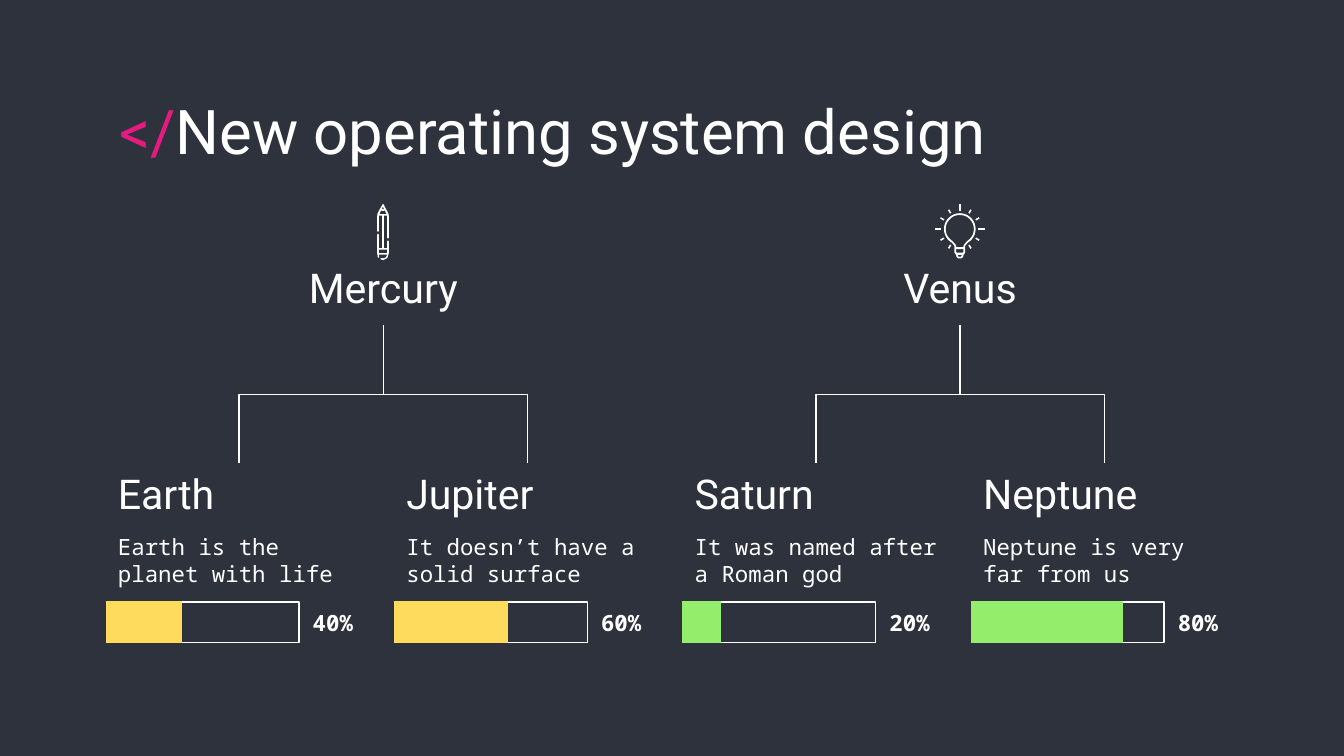
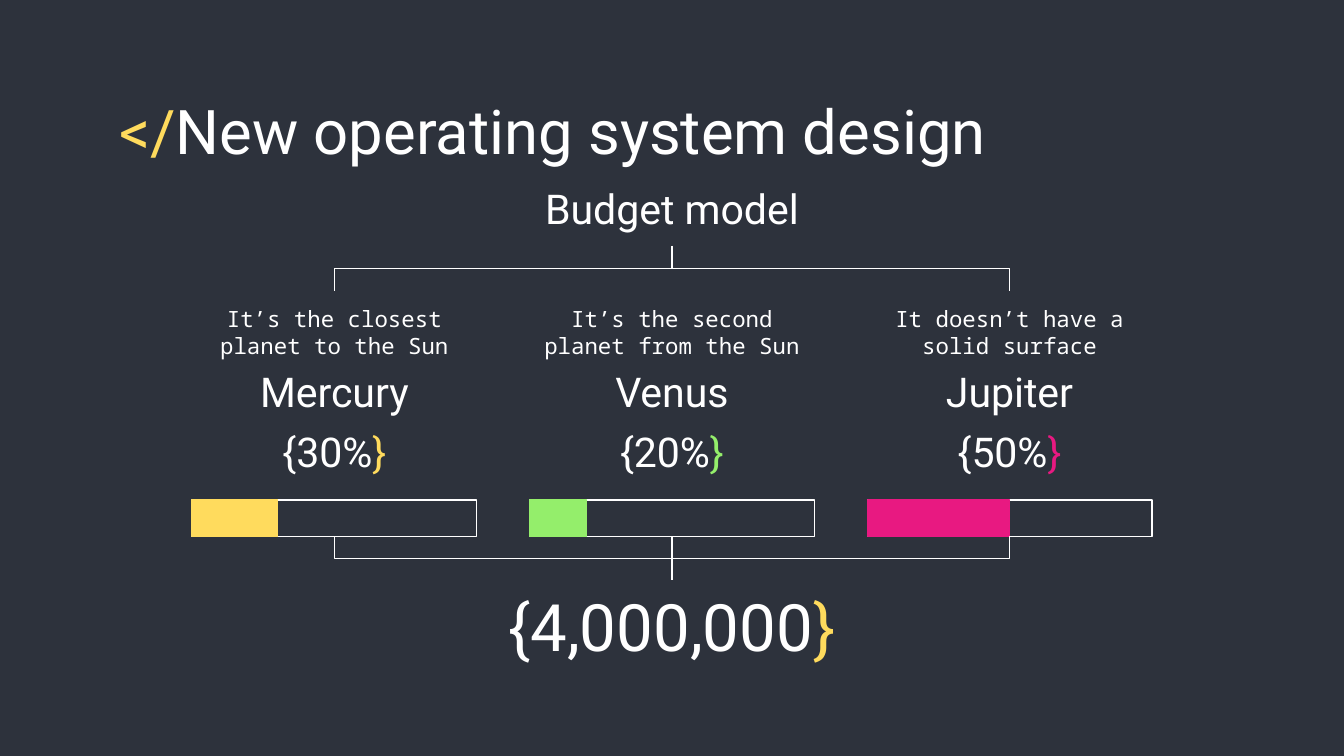
from dataclasses import dataclass
from math import cos, radians, sin

from lxml.etree import SubElement
from pptx import Presentation
from pptx.dml.color import RGBColor
from pptx.enum.shapes import MSO_CONNECTOR, MSO_SHAPE
from pptx.enum.text import MSO_ANCHOR, MSO_AUTO_SIZE, PP_ALIGN
from pptx.oxml.ns import qn
from pptx.util import Cm, Pt


@dataclass(frozen=True)
class Theme:
    """Colours, fonts and type sizes of the deck."""

    night: RGBColor = RGBColor.from_string("2D323C")
    white: RGBColor = RGBColor.from_string("FFFFFF")
    pink: RGBColor = RGBColor.from_string("E81981")
    yellow: RGBColor = RGBColor.from_string("FFDB5D")
    green: RGBColor = RGBColor.from_string("94EE6B")
    sans: str = "Roboto"
    mono: str = "Noto Sans Mono"
    title: Pt = Pt(33)
    total: Pt = Pt(35)
    heading: Pt = Pt(22)
    small: Pt = Pt(12)
    line: Pt = Pt(0.75)


THEME = Theme()
HEADING = {"name": THEME.sans, "size": THEME.heading}
SMALL = {"name": THEME.mono, "size": THEME.small}
PERCENT = {**SMALL, "bold": True}
TITLE = {"name": THEME.sans, "size": THEME.title}
TOTAL = {"name": THEME.sans, "size": THEME.total}
TOP, MIDDLE, BOTTOM = MSO_ANCHOR.TOP, MSO_ANCHOR.MIDDLE, MSO_ANCHOR.BOTTOM
LEFT, CENTER = PP_ALIGN.LEFT, PP_ALIGN.CENTER
MILLI_INCH = Cm(2.54) / 1000

TREES = [
    ("Mercury", THEME.yellow, [
        ("Earth", "Earth is the planet with life", 40),
        ("Jupiter", "It doesn’t have a solid surface", 60),
    ]),
    ("Venus", THEME.green, [
        ("Saturn", "It was named after a Roman god", 20),
        ("Neptune", "Neptune is very far from us", 80),
    ]),
]
BUDGET = [
    ("Mercury", "It’s the closest planet to the Sun", 30, THEME.yellow),
    ("Venus", "It’s the second planet from the Sun", 20, THEME.green),
    ("Jupiter", "It doesn’t have a solid surface", 50, THEME.pink),
]
PENCIL = [
    [(43, 0), (20, 40), (2, 75), (0, 90), (0, 205), (6, 210), (12, 205),
     (12, 90), (37, 90), (37, 330), (12, 330), (12, 230), (6, 223), (0, 230),
     (0, 370), (5, 400), (10, 403), (15, 395), (12, 380), (74, 380),
     (65, 400), (43, 407), (30, 404), (24, 410), (30, 416), (43, 420),
     (75, 405), (86, 370), (86, 280), (80, 273), (74, 280), (74, 330),
     (49, 330), (49, 90), (74, 90), (74, 255), (80, 260), (86, 255),
     (86, 90), (84, 75), (50, 10)],
    [(43, 20), (50, 40), (43, 43), (36, 40)],
    [(57, 50), (70, 78), (16, 78), (29, 50), (43, 55)],
    [(74, 342), (74, 368), (12, 368), (12, 342)],
]


def set_values(target, values):
    """Set each attribute of the target from a dict."""
    for name, value in values.items():
        setattr(target, name, value)


def write_text(box, spans, font, anchor, align):
    """Write coloured spans into one paragraph of a box."""
    inset = Cm(0.25)
    frame = box.text_frame
    set_values(frame, {
        "word_wrap": True, "auto_size": MSO_AUTO_SIZE.NONE,
        "vertical_anchor": anchor, "margin_left": inset,
        "margin_right": inset, "margin_top": inset, "margin_bottom": inset,
    })
    para = frame.paragraphs[0]
    para.alignment = align
    for text, colour in spans:
        span = para.add_run()
        span.text = text
        set_values(span.font, font)
        span.font.color.rgb = colour


def add_title(slide, accent):
    """Fill the title placeholder with its accented opening tag."""
    title = slide.shapes.title
    set_values(title, {"left": Cm(2), "top": Cm(1.5),
                       "width": Cm(21.4), "height": Cm(1.6)})
    spans = [("</", accent), ("New operating system design", THEME.white)]
    write_text(title, spans, TITLE, TOP, LEFT)


def add_text(slide, place, text, font, anchor=TOP, align=LEFT, brace=None):
    """Add a text box, closed by a coloured brace if one is given."""
    box = slide.shapes.add_textbox(*map(Cm, place))
    spans = [(text, THEME.white)]
    if brace is not None:
        spans.append(("}", brace))
    write_text(box, spans, font, anchor, align)


def add_centered(slide, center, top, width, height, text, font, **options):
    """Add a centred text box around a vertical axis."""
    place = (center - width / 2, top, width, height)
    add_text(slide, place, text, font, align=CENTER, **options)


def add_bar(slide, left, top, width, height, colour, filled=False):
    """Add a thin-lined rectangle, filled or open."""
    bar = slide.shapes.add_shape(
        MSO_SHAPE.RECTANGLE, *map(Cm, (left, top, width, height)))
    bar.shadow.inherit = False
    if filled:
        bar.fill.solid()
        bar.fill.fore_color.rgb = colour
    else:
        bar.fill.background()
    bar.line.color.rgb = colour
    bar.line.width = THEME.line


def add_gauge(slide, left, top, width, height, filled, colour):
    """Add an open bar with a coloured part at its left."""
    add_bar(slide, left, top, width, height, THEME.white)
    add_bar(slide, left, top, filled, height, colour, filled=True)


def add_branch(slide, upper, lower):
    """Join two points, going down, across and down again."""
    (x1, y1), (x2, y2) = upper, lower
    kind, ends, turn = MSO_CONNECTOR.STRAIGHT, (x1, y1, x2, y2), None
    if x1 != x2:
        middle_x, middle_y = (x1 + x2) / 2, (y1 + y2) / 2
        half_x, half_y = abs(x2 - x1) / 2, (y2 - y1) / 2
        side = 1 if x2 > x1 else -1
        kind = MSO_CONNECTOR.ELBOW
        ends = (middle_x + side * half_y, middle_y - half_x,
                middle_x - side * half_y, middle_y + half_x)
        turn = 270 if side > 0 else 90
    branch = slide.shapes.add_connector(kind, *map(Cm, ends))
    branch.line.color.rgb = THEME.white
    branch.line.width = THEME.line
    properties = branch._element.spPr
    SubElement(properties, qn("a:effectLst"))
    if turn:
        properties.find(qn("a:xfrm")).set("rot", str(turn * 60000))


def add_outline(shapes, left, top, contours):
    """Add a white freeform whose later contours are holes."""
    builder = shapes.build_freeform(*contours[0][0], scale=MILLI_INCH)
    builder.add_line_segments(contours[0][1:])
    for contour in contours[1:]:
        builder.move_to(*contour[0])
        builder.add_line_segments(contour[1:])
    outline = builder.convert_to_shape(Cm(left), Cm(top))
    outline.shadow.inherit = False
    outline.fill.solid()
    outline.fill.fore_color.rgb = THEME.white
    outline.line.fill.background()


def mirror(half):
    """Close a right half with its reflection."""
    return half + [(-x, y) for x, y in reversed(half)]


def arc(radius):
    """Give the right side of a bulb's glass, from the top to the neck."""
    return [(radius * cos(radians(angle)), radius * sin(radians(angle)))
            for angle in range(-90, 61, 10)]


def ray(angle):
    """Give one thin ray of light at an angle."""
    end = 188 if angle % 90 == 0 else 166
    across, along = sin(radians(angle)), cos(radians(angle))
    corners = [(136, -6), (end, -6), (end, 6), (136, 6)]
    return [(x * along - y * across, x * across + y * along)
            for x, y in corners]


def add_bulb(slide, center, middle):
    """Draw a light bulb with rays around its glass."""
    group = slide.shapes.add_group_shape()
    glass = [
        mirror(arc(118) + [(40, 125), (40, 175), (27, 195), (25, 208), (12, 218)]),
        mirror(arc(105) + [(28, 120), (27, 135)]),
        mirror([(27, 149), (27, 170), (22, 176)]),
        mirror([(14, 193), (14, 201), (9, 206)]),
    ]
    add_outline(group.shapes, center, middle, glass)
    for angle in range(0, 360, 30):
        if angle != 90:
            add_outline(group.shapes, center, middle, [ray(angle)])


def build_trees(slide):
    """Build the two trees with a gauge under each leaf."""
    add_title(slide, THEME.pink)
    first, step, width = 1.98, 5.45, 5.08
    for number, (parent, colour, leaves) in enumerate(TREES):
        start = first + 2 * number * step
        center = start + (step + width) / 2
        add_centered(slide, center, 4.88, 6.45, 1.27, parent, HEADING,
                     anchor=BOTTOM)
        for index, (name, description, percent) in enumerate(leaves):
            left = start + index * step
            add_text(slide, (left, 8.76, width, 1.27), name, HEADING, BOTTOM)
            add_text(slide, (left, 9.83, width, 1.52), description, SMALL)
            add_branch(slide, (center, 6.15), (left + width / 2, 8.76))
            add_gauge(slide, left + 0.03, 11.38, 3.64, 0.77,
                      3.56 * percent / 100, colour)
            add_text(slide, (left + 3.68, 11.36, 1.4, 0.81),
                     f"{percent}%", PERCENT, MIDDLE)
    add_outline(slide.shapes, 7.13, 3.85, PENCIL)
    add_bulb(slide, 18.14, 4.33)


def build_budget(slide):
    """Build the budget split that leads to one total."""
    add_title(slide, THEME.yellow)
    middle, step, width = 12.7, 6.38, 5.38
    add_centered(slide, middle, 3.38, 6.05, 1.27, "Budget model", HEADING,
                 anchor=BOTTOM)
    for index, (name, description, percent, colour) in enumerate(BUDGET):
        center = middle + (index - 1) * step
        add_centered(slide, center, 5.51, width, 1.52, description, SMALL,
                     anchor=BOTTOM)
        add_centered(slide, center, 6.68, width, 1.27, name, HEADING)
        add_centered(slide, center, 7.98, 3.2, 1.27, f"{{{percent}%", HEADING,
                     anchor=BOTTOM, brace=colour)
        add_gauge(slide, center - width / 2, 9.45, width, 0.69,
                  width * percent / 100, colour)
        add_branch(slide, (center, 10.14), (middle, 10.97))
        if center != middle:
            add_branch(slide, (middle, 4.65), (center, 5.51))
    add_centered(slide, middle, 10.97, 9.83, 1.85, "{4,000,000", TOTAL,
                 anchor=BOTTOM, brace=THEME.yellow)


def main():
    """Build and save the deck."""
    deck = Presentation()
    set_values(deck, {"slide_width": Cm(25.4), "slide_height": Cm(14.29)})
    backdrop = deck.slide_master.background.fill
    backdrop.solid()
    backdrop.fore_color.rgb = THEME.night
    for build in (build_trees, build_budget):
        page = deck.slides.add_slide(deck.slide_layouts.get_by_name("Title Only"))
        build(page)
    deck.save("out.pptx")


if __name__ == "__main__":
    main()
